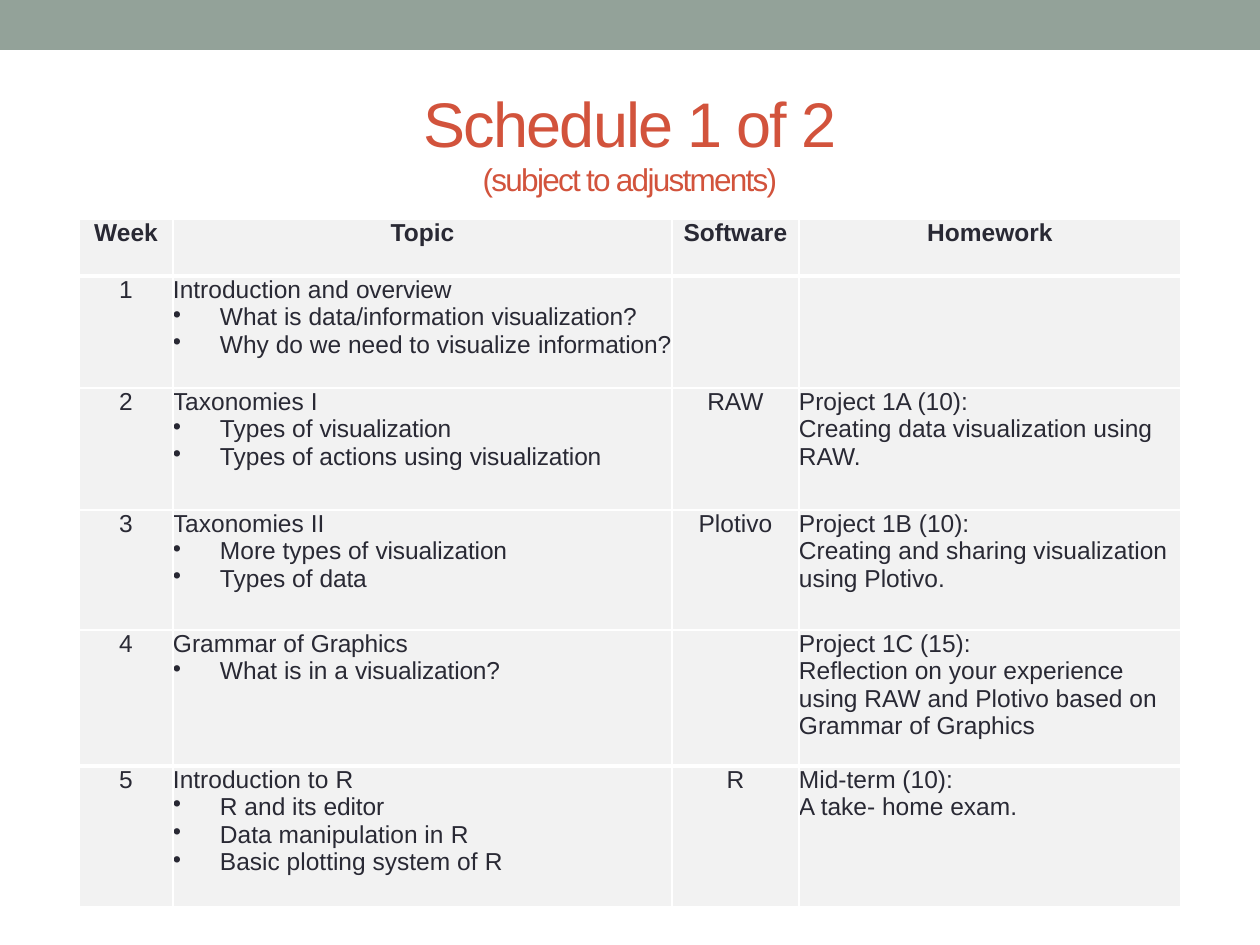
import pptx
import pptx.dml.color
import pptx.enum.shapes
import pptx.enum.text
import pptx.oxml
import pptx.oxml.ns
import pptx.util
from lxml import etree

RGBColor = pptx.dml.color.RGBColor
SAGE = RGBColor(0x93, 0xA2, 0x99)
RED = RGBColor(0xD2, 0x53, 0x3C)
INK = RGBColor(0x29, 0x29, 0x34)
PALE = RGBColor(0xF2, 0xF2, 0xF2)
WHITE = RGBColor(0xFF, 0xFF, 0xFF)

EMU_PER_PX = 914400 / 126
FONT = "Arial"
CENTER = pptx.enum.text.PP_ALIGN.CENTER
LEFT = pptx.enum.text.PP_ALIGN.LEFT

COLUMN_WIDTHS = [94, 499, 127, 382]
COLUMN_ALIGNMENTS = [CENTER, LEFT, CENTER, LEFT]
TOPIC_COLUMN = 1
ROW_HEIGHTS = [57, 112, 122, 120, 136, 141]
THICK_RULES = {1, 5}  # rows with a heavy line above them
BULLET_INDENT = 47

# In the topic column every line after the first is a bullet.
SCHEDULE = [
    [["Week"], ["Topic"], ["Software"], ["Homework"]],
    [["1"],
     ["Introduction and overview", "What is data/information visualization?",
      "Why do we need to visualize information?"],
     [], []],
    [["2"],
     ["Taxonomies I", "Types of visualization", "Types of actions using visualization"],
     ["RAW"],
     ["Project 1A (10):", "Creating data visualization using RAW."]],
    [["3"],
     ["Taxonomies II", "More types of visualization", "Types of data"],
     ["Plotivo"],
     ["Project 1B (10):", "Creating and sharing visualization using Plotivo."]],
    [["4"],
     ["Grammar of Graphics", "What is in a visualization?"],
     [],
     ["Project 1C (15):",
      "Reflection on your experience using RAW and Plotivo based on Grammar of Graphics"]],
    [["5"],
     ["Introduction to R", "R and its editor", "Data manipulation in R",
      "Basic plotting system of R"],
     ["R"],
     ["Mid-term (10):", "A take- home exam."]],
]


def px(length):
    return pptx.util.Emu(round(length * EMU_PER_PX))


def add_span(para, text, spacing=0):
    """Add a run with letter spacing in points."""
    span = para.add_run()
    span.text = text
    if spacing:
        span.font._element.set("spc", str(round(spacing * 100)))
    return span


def style_font(font, size, color, bold=False):
    font.name = FONT
    font.size = pptx.util.Pt(size)
    font.color.rgb = color
    font.bold = bold


def add_band(page):
    band = page.shapes.add_shape(
        pptx.enum.shapes.MSO_SHAPE.RECTANGLE, 0, 0, px(1260), px(50))
    band.shadow.inherit = False
    band.fill.solid()
    band.fill.fore_color.rgb = SAGE
    band.line.fill.background()


def add_title(page):
    box = page.shapes.add_textbox(px(63), px(73), px(1134), px(136))
    frame = box.text_frame
    frame.word_wrap = True
    frame.vertical_anchor = pptx.enum.text.MSO_ANCHOR.MIDDLE
    para = frame.paragraphs[0]
    para.alignment = CENTER
    style_font(para.font, 36, RED)
    add_span(para, "Schedule 1 of 2", -1)
    para.add_line_break()
    add_span(para, "(subject to adjustments)", -1).font.size = pptx.util.Pt(18)


def add_bullet(para):
    properties = para._p.get_or_add_pPr()
    properties.set("marL", str(px(BULLET_INDENT)))
    properties.set("indent", str(-px(BULLET_INDENT)))
    bullet = etree.SubElement(properties, pptx.oxml.ns.qn("a:buChar"))
    bullet.set("char", "•")


def set_borders(cell, top, bottom):
    """Draw white cell edges; top and bottom widths are in points."""
    properties = cell._tc.get_or_add_tcPr()
    for side, width in (("L", 1), ("R", 1), ("T", top), ("B", bottom)):
        properties.append(pptx.oxml.parse_xml(
            f'<a:ln{side} {pptx.oxml.ns.nsdecls("a")} w="{pptx.util.Pt(width)}">'
            f'<a:solidFill><a:srgbClr val="{WHITE}"/></a:solidFill></a:ln{side}>'))


def fill_cell(cell, lines, alignment, header, topic):
    cell.margin_left = cell.margin_right = cell.margin_top = cell.margin_bottom = 0
    cell.fill.solid()
    cell.fill.fore_color.rgb = PALE
    frame = cell.text_frame
    for index, line in enumerate(lines):
        para = frame.add_paragraph() if index else frame.paragraphs[0]
        para.alignment = alignment
        if topic and index:
            add_bullet(para)
        style_font(para.font, 14, INK, header)
        if topic:
            start, space, last_word = line.rpartition(" ")
            add_span(para, start + space)
            add_span(para, last_word, -0.1)
        else:
            add_span(para, line)


def add_schedule(page):
    table = page.shapes.add_table(
        len(ROW_HEIGHTS), len(COLUMN_WIDTHS), px(79), px(219),
        px(sum(COLUMN_WIDTHS)), px(sum(ROW_HEIGHTS))).table
    table.horz_banding = False
    for column, width in zip(table.columns, COLUMN_WIDTHS):
        column.width = px(width)
    for r, (height, entries) in enumerate(zip(ROW_HEIGHTS, SCHEDULE)):
        table.rows[r].height = px(height)
        header = r == 0
        top, bottom = (3 if edge in THICK_RULES else 1 for edge in (r, r + 1))
        for c, lines in enumerate(entries):
            cell = table.cell(r, c)
            set_borders(cell, top, bottom)
            alignment = CENTER if header else COLUMN_ALIGNMENTS[c]
            fill_cell(cell, lines, alignment, header, c == TOPIC_COLUMN and not header)


def main():
    deck = pptx.Presentation()
    deck.slide_width, deck.slide_height = px(1260), px(945)
    page = deck.slides.add_slide(deck.slide_layouts[6])
    add_band(page)
    add_title(page)
    add_schedule(page)
    deck.save("out.pptx")


if __name__ == "__main__":
    main()
